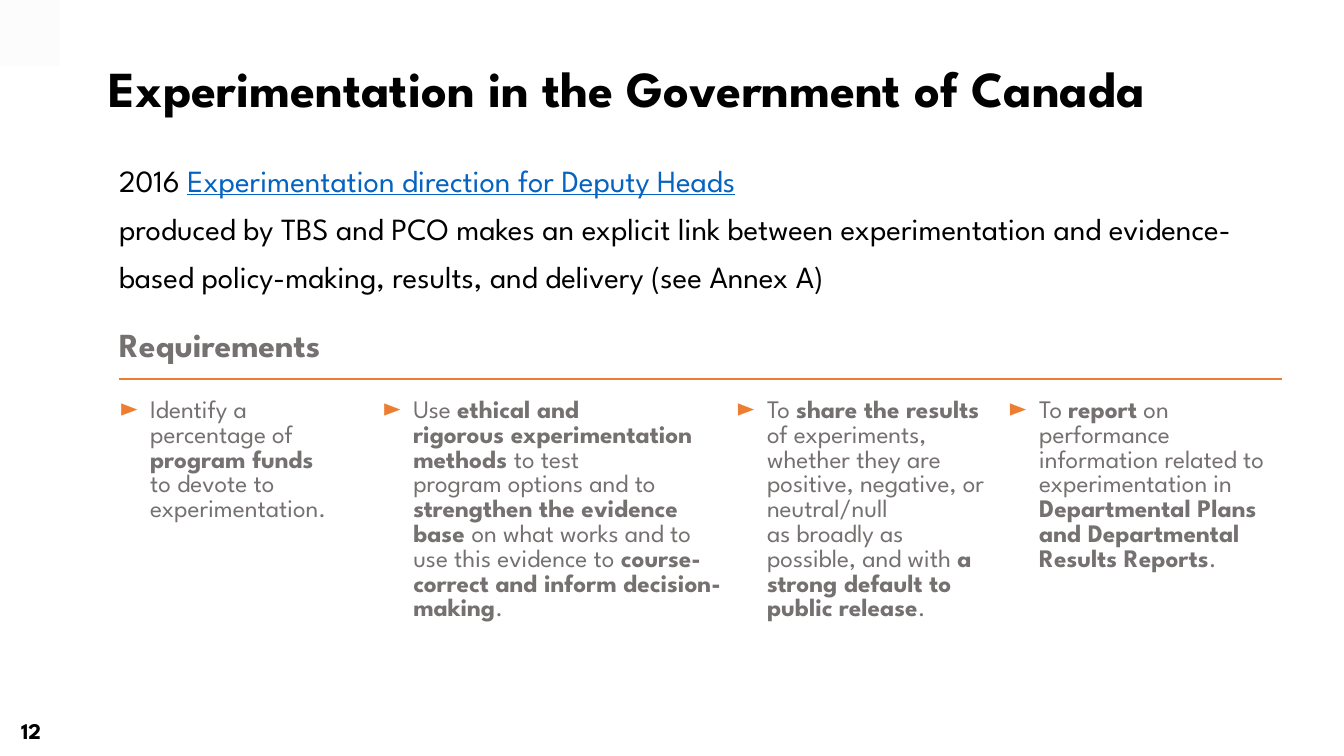
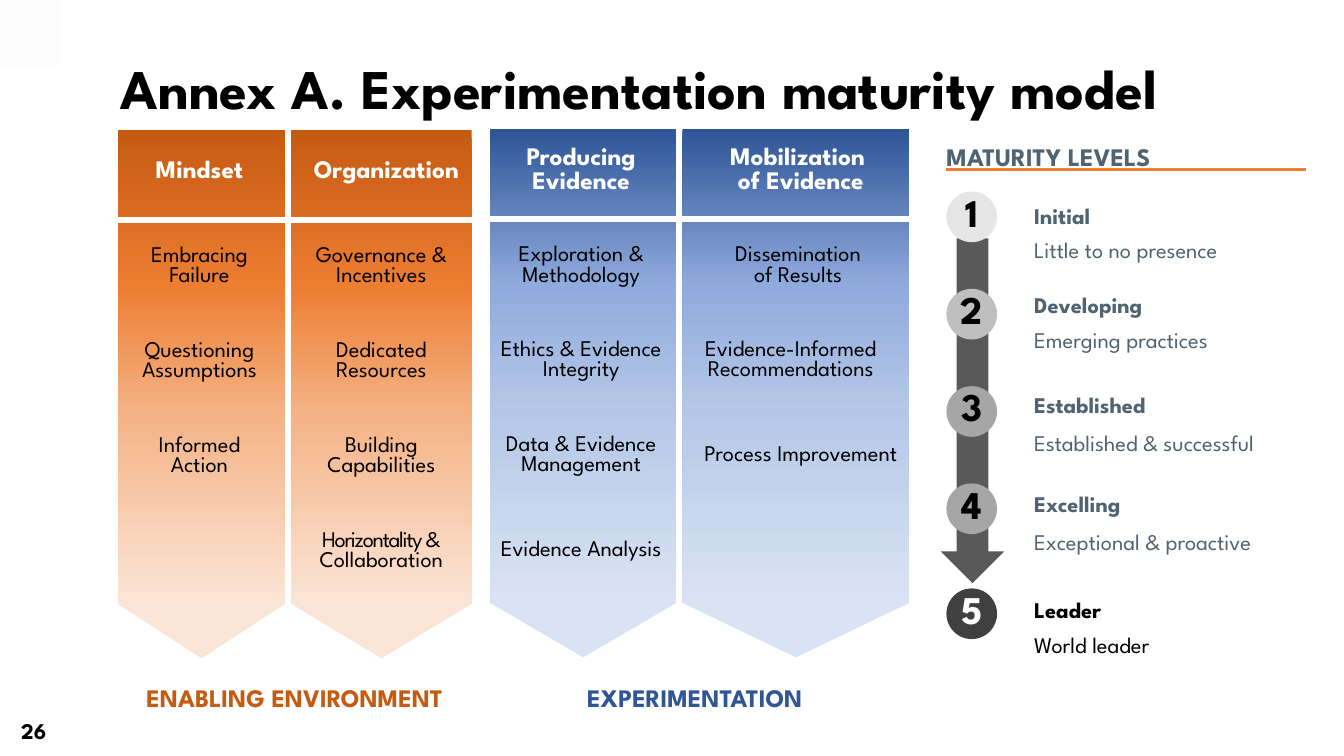
from lxml.etree import SubElement
from pptx import Presentation
from pptx.dml.color import RGBColor
from pptx.enum.shapes import MSO_CONNECTOR, MSO_SHAPE
from pptx.enum.text import MSO_ANCHOR, MSO_AUTO_SIZE, PP_ALIGN
from pptx.oxml.ns import qn
from pptx.util import Pt

FONT = "League Spartan"
BLACK = RGBColor(0x00, 0x00, 0x00)
WHITE = RGBColor(0xFF, 0xFF, 0xFF)
CORNER = RGBColor(0xFC, 0xFC, 0xFC)
LINK = RGBColor(0x05, 0x63, 0xC1)
GREY = RGBColor(0x76, 0x71, 0x71)
SLATE = RGBColor(0x50, 0x63, 0x72)
ARROW = RGBColor(0x59, 0x59, 0x59)
ORANGE = RGBColor(0xED, 0x7D, 0x31)
ORANGES = [RGBColor(0xC5, 0x5A, 0x11), ORANGE,
           RGBColor(0xF4, 0xB1, 0x83), RGBColor(0xFB, 0xE5, 0xD6)]
BLUES = [RGBColor(0x2F, 0x55, 0x97), RGBColor(0x8F, 0xAA, 0xDC),
         RGBColor(0xB4, 0xC7, 0xE7), RGBColor(0xDA, 0xE3, 0xF3)]
STOPS = [0, 33, 59, 100]
NO_STYLE = "{2D5ABB26-0587-4C30-8999-92F81FD0307C}"
LOOSE = 1.3
COLUMN_GAP = 4.3

REQUIREMENTS = [
    "Identify a percentage of *program funds \v*to devote to experimentation.",
    "Use *ethical and \vrigorous experimentation methods *to test \vprogram options and to "
    "*strengthen the evidence base *on what works and to use this evidence to "
    "*course-correct and inform decision-making*.",
    "To *share the results *of experiments, whether they are positive, negative, or "
    "neutral/null \vas broadly as possible, and with "
    "*a strong default to public release*.",
    "To *report* on performance information related to experimentation in "
    "*Departmental Plans and Departmental Results Reports*.",
]
ENABLING = [
    ("Mindset", "Organization"),
    ("Embracing Failure", "Governance & Incentives"),
    ("Questioning Assumptions", "Dedicated Resources"),
    ("Informed Action", "Building Capabilities"),
    ("", "Horizontality &\vCollaboration"),
]
EXPERIMENTATION = [
    ("Producing Evidence", "Mobilization \vof Evidence"),
    ("Exploration & Methodology", "Dissemination \vof Results "),
    ("Ethics & Evidence Integrity", "Evidence-Informed Recommendations"),
    ("Data & Evidence Management", "Process Improvement"),
    ("Evidence Analysis", ""),
]
LEVELS = [
    ("*Initial \v*Little to no presence", 44, RGBColor(0xE7, 0xE6, 0xE6)),
    ("*Developing \v*Emerging practices", 108, RGBColor(0xBF, 0xBF, 0xBF)),
    ("*Established*\nEstablished & successful", 179.5, RGBColor(0xA6, 0xA6, 0xA6)),
    ("*Excelling*\nExceptional & proactive", 250, RGBColor(0xA6, 0xA6, 0xA6)),
    ("*Leader\v*World leader", 326, RGBColor(0x40, 0x40, 0x40)),
]


def points(*values):
    """Turn plain numbers into lengths."""
    return [Pt(value) for value in values]


def write(para, text, size, color, bold=False, spacing=None, align=PP_ALIGN.LEFT):
    """Fill a paragraph; asterisks switch bold on and off."""
    para.alignment = align
    para.line_spacing = spacing
    for switch, part in enumerate(text.split("*")):
        for number, line in enumerate(part.split("\v")):
            if number:
                para.add_line_break()
            if line:
                span = para.add_run()
                span.text = line
                span.font.name = FONT
                span.font.size = Pt(size)
                span.font.bold = bold != bool(switch % 2)
                span.font.color.rgb = color
    for line_break in para._p.findall(qn("a:br")):
        SubElement(line_break, qn("a:rPr"), sz=str(size * 100))


def set_margins(holder, left, top, right, bottom):
    """Set the inner margins of a text frame or a cell."""
    (holder.margin_left, holder.margin_top,
     holder.margin_right, holder.margin_bottom) = points(left, top, right, bottom)


def add_label(page, box, text, size, color, bold=False, spacing=LOOSE,
              align=PP_ALIGN.LEFT, anchor=MSO_ANCHOR.TOP, margins=(0, 0, 0, 0)):
    """Add a text box with one paragraph for each line of text."""
    frame = page.shapes.add_textbox(*points(*box)).text_frame
    frame.word_wrap = True
    frame.vertical_anchor = anchor
    set_margins(frame, *margins)
    for number, line in enumerate(text.split("\n")):
        para = frame.add_paragraph() if number else frame.paragraphs[0]
        para.space_after = Pt(2)
        write(para, line, size, color, bold, spacing, align)


def add_block(page, kind, box, color):
    """Add a flat shape without outline."""
    block = page.shapes.add_shape(kind, *points(*box))
    block.shadow.inherit = False
    block.line.fill.background()
    block.fill.solid()
    block.fill.fore_color.rgb = color
    return block


def shade(block, colors):
    """Give a shape a downward gradient."""
    block.fill.gradient()
    block.fill.gradient_angle = 270
    stops = block._element.spPr.find(qn("a:gradFill")).find(qn("a:gsLst"))
    for stop in list(stops):
        stops.remove(stop)
    for place, color in zip(STOPS, colors):
        stop = SubElement(stops, qn("a:gs"), pos=str(place * 1000))
        SubElement(stop, qn("a:srgbClr"), val=str(color))


def add_plain_table(page, box, widths, heights):
    """Add a table without style or fills."""
    table = page.shapes.add_table(len(heights), len(widths), *points(*box)).table
    table._tbl.tblPr.find(qn("a:tableStyleId")).text = NO_STYLE
    table.first_row = table.horz_banding = False
    for column, width in zip(table.columns, widths):
        column.width = Pt(width)
    for row, height in zip(table.rows, heights):
        row.height = Pt(height)
    for cell in table.iter_cells():
        cell.fill.background()
    return table


def underline_row(table, row, color, width):
    """Draw a rule below every cell of a row."""
    for cell in table.rows[row].cells:
        properties = cell._tc.get_or_add_tcPr()
        rule = SubElement(properties, qn("a:lnB"), w=str(Pt(width)))
        properties.insert(0, rule)
        SubElement(SubElement(rule, qn("a:solidFill")), qn("a:srgbClr"), val=str(color))


def add_page(deck, layout, number, title, box, size, spacing):
    """Add a slide with corner block, page number and title."""
    page = deck.slides.add_slide(deck.slide_layouts[layout])
    add_block(page, MSO_SHAPE.RECTANGLE, (0, 0, 42.5, 46.8), CORNER)
    add_label(page, (8, 503.3, 216, 28.8), number, 16, BLACK, True,
              margins=(7.2, 3.6, 7.2, 3.6))
    heading = page.shapes.title
    heading.left, heading.top, heading.width, heading.height = points(*box)
    heading.text_frame.auto_size = MSO_AUTO_SIZE.NONE
    heading.text_frame.vertical_anchor = MSO_ANCHOR.MIDDLE
    write(heading.text_frame.paragraphs[0], title, size, BLACK, True, spacing)
    return page


def fill_introduction(page, box):
    """Place the opening paragraph with its underlined reference."""
    body = page.placeholders[1]
    body.left, body.top, body.width, body.height = points(*box)
    body.text_frame.auto_size = MSO_AUTO_SIZE.NONE
    para = body.text_frame.paragraphs[0]
    para.space_before = Pt(0)
    write(para, "2016 ", 22, BLACK, spacing=LOOSE)
    write(para, "Experimentation direction for Deputy Heads", 22, LINK, spacing=LOOSE)
    para.runs[-1].font.underline = True
    write(para, " \vproduced by TBS and PCO makes an explicit link between experimentation "
          "and evidence-based policy-making, results, and delivery (see Annex A)",
          22, BLACK, spacing=LOOSE)
    properties = para._p.get_or_add_pPr()
    properties.set("marL", "0")
    properties.set("indent", "0")
    SubElement(properties, qn("a:buNone"))


def add_requirements(page, left, top):
    """Place the requirements table with its bulleted columns."""
    widths = [182.9, 252.7, 194.4, 200.9]
    heights = [29.5, 130.3]
    table = add_plain_table(page, (left, top, sum(widths), sum(heights)), widths, heights)
    underline_row(table, 0, ORANGE, 1)
    header = table.cell(0, 0)
    header.merge(table.cell(0, 3))
    set_margins(header, 0, 3.6, 7.2, 3.6)
    write(header.text_frame.paragraphs[0], "Requirements", 24, GREY, True)
    for column, text in enumerate(REQUIREMENTS):
        cell = table.cell(1, column)
        set_margins(cell, 5 if column else 0, 14.4, 5, 0)
        para = cell.text_frame.paragraphs[0]
        write(para, text, 18, GREY, spacing=1.07)
        properties = para._p.get_or_add_pPr()
        properties.set("marL", str(Pt(22.3)))
        properties.set("indent", str(-Pt(22.3)))
        SubElement(SubElement(properties, qn("a:buClr")), qn("a:srgbClr"), val=str(ORANGE))
        SubElement(properties, qn("a:buChar"), char="►")


def add_pillars(page, left, top, widths, colors, rows, insets):
    """Place two shaded pillars with pointed feet and the table over them."""
    pillar_left = left
    for width in widths:
        foot = add_block(page, MSO_SHAPE.ISOSCELES_TRIANGLE,
                         (pillar_left, top + 338.4, width, 38.9), colors[-1])
        foot.rotation = 180
        shade(add_block(page, MSO_SHAPE.RECTANGLE,
                        (pillar_left, top, width, 338.4), colors[0]), colors)
        pillar_left += width + COLUMN_GAP
    columns = [widths[0] + COLUMN_GAP, widths[1]]
    heights = [67.8] * len(rows)
    table = add_plain_table(page, (left, top - 3.6, sum(columns), sum(heights)),
                            columns, heights)
    underline_row(table, 0, WHITE, 4.5)
    for row, texts in enumerate(rows):
        for column, text in enumerate(texts):
            cell = table.cell(row, column)
            cell.vertical_anchor = MSO_ANCHOR.MIDDLE
            if column:
                set_margins(cell, insets[row], 3.6, 7.2 if row else 0, 3.6)
            else:
                set_margins(cell, 7.2, 3.6, 14.4, 3.6)
            write(cell.text_frame.paragraphs[0], text, 16 if row else 18,
                  BLACK if row else WHITE, not row, align=PP_ALIGN.CENTER)
    return table


def add_maturity_levels(page, left, top):
    """Place the heading, the arrow and the five numbered levels."""
    add_label(page, (left, top, 255.6, 26), "MATURITY LEVELS", 18, SLATE, True)
    rule = page.shapes.add_connector(
        MSO_CONNECTOR.STRAIGHT, *points(left, top + 26.7, left + 257, top + 26.7))
    rule.line.color.rgb = ORANGE
    rule.line.width = Pt(2.25)
    SubElement(rule._element.spPr, qn("a:effectLst"))
    add_block(page, MSO_SHAPE.DOWN_ARROW, (left - 4, top + 76, 45.4, 246.2), ARROW)
    last = len(LEVELS) - 1
    for number, (text, label_top, color) in enumerate(LEVELS):
        circle_top = top + (326 if number == last else 42.5 + 69.5 * number)
        circle = add_block(page, MSO_SHAPE.OVAL, (left, circle_top, 36.2, 36.2), color)
        frame = circle.text_frame
        frame.word_wrap = False
        frame.vertical_anchor = MSO_ANCHOR.BOTTOM
        set_margins(frame, 0, 0, 0, 0)
        write(frame.paragraphs[0], str(number + 1), 28,
              WHITE if number == last else BLACK, True, 0.8, PP_ALIGN.CENTER)
        add_label(page, (left + 62.7, top + label_top, 204, 40), text, 16,
                  BLACK if number == last else SLATE)


def build_requirements_page(deck):
    """Build the slide on the government direction."""
    page = add_page(deck, 1, "12", "Experimentation in the Government of Canada",
                    (70.6, 20.2, 859, 90), 36, 0.9)
    fill_introduction(page, (77.8, 103.7, 817.2, 87.1))
    add_requirements(page, 85, 234.7)


def build_maturity_page(deck):
    """Build the slide on the maturity model."""
    page = add_page(deck, 5, "26", "Annex A. Experimentation maturity model",
                    (79.2, 27.4, 863.3, 55.4), 40, LOOSE)
    enabling = add_pillars(page, 84.2, 92.9, [119.5, 128.9], ORANGES, ENABLING, [7.2] * 5)
    tight = enabling.cell(4, 1).text_frame.paragraphs[0].runs[0]
    tight.font._element.set("spc", "-90")
    add_pillars(page, 350, 92.2, [133.2, 162], BLUES, EXPERIMENTATION,
                [7.2, 14.4, 0, 14.4, 7.2])
    for left, text, color in [(84.2, "ENABLING ENVIRONMENT", ORANGES[0]),
                              (370, "EXPERIMENTATION", BLUES[0])]:
        add_label(page, (left, 487.8, 252.7, 24), text, 18, color, True, 0.9,
                  PP_ALIGN.CENTER, MSO_ANCHOR.MIDDLE)
    add_maturity_levels(page, 676, 94.3)


def main():
    """Build and save the deck."""
    deck = Presentation()
    deck.slide_width, deck.slide_height = points(960, 540)
    build_requirements_page(deck)
    build_maturity_page(deck)
    deck.save("out.pptx")


if __name__ == "__main__":
    main()
